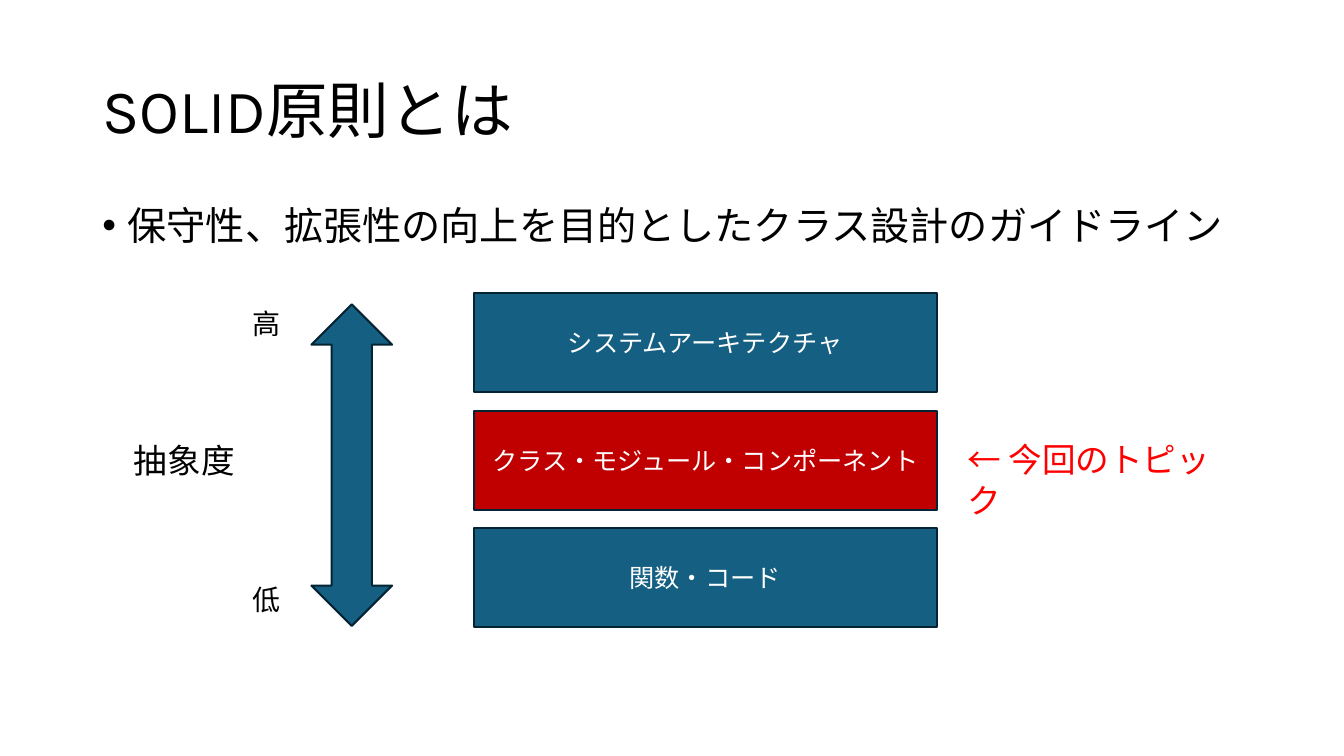
from dataclasses import dataclass

from lxml.etree import SubElement
from pptx import Presentation
from pptx.dml.color import RGBColor
from pptx.enum.shapes import MSO_SHAPE as Shape
from pptx.enum.text import MSO_ANCHOR as Anchor, MSO_AUTO_SIZE as AutoSize, PP_ALIGN as Align
from pptx.oxml.ns import qn
from pptx.util import Pt


@dataclass(frozen=True)
class Theme:
    font: str = "Karla"
    text: str = "000000"
    inverse: str = "FFFFFF"
    layer: str = "156082"
    topic_layer: str = "C00000"
    outline: str = "042433"
    note: str = "FF0000"
    title_size: int = 44
    body_size: int = 28
    label_size: int = 24
    end_size: int = 20
    layer_size: int = 18


THEME = Theme()
LAYERS = [
    ("システムアーキテクチャ", THEME.layer),
    ("クラス・モジュール・コンポーネント", THEME.topic_layer),
    ("関数・コード", THEME.layer),
]
LAYER_LEFT, LAYER_TOP, LAYER_WIDTH, LAYER_HEIGHT = 338.4, 209.3, 330.6, 70.8
LAYER_PITCH = 84
LABELS = [
    ("抽象度", (88.6, 311, 92.9, 36), THEME.label_size, THEME.text),
    ("高", (173.5, 215.3, 33.5, 31.7), THEME.end_size, THEME.text),
    ("低", (173.5, 412.6, 33.5, 31.7), THEME.end_size, THEME.text),
    ("← 今回のトピック", (684, 310.3, 191.5, 64.8), THEME.label_size, THEME.note),
]


def set_text(shape, text, size, color, align=Align.LEFT, anchor=Anchor.TOP):
    frame = shape.text_frame
    frame.text = text
    frame.word_wrap = True
    frame.auto_size = AutoSize.NONE
    frame.vertical_anchor = anchor
    paragraph = frame.paragraphs[0]
    paragraph.alignment = align
    font = paragraph.runs[0].font
    font.name = THEME.font
    font.size = Pt(size)
    font.color.rgb = RGBColor.from_string(color)
    return paragraph


def fill_placeholder(shape, box, text, size, anchor):
    shape.left, shape.top, shape.width, shape.height = map(Pt, box)
    paragraph = set_text(shape, text, size, THEME.text, anchor=anchor)
    paragraph.line_spacing = 0.9
    paragraph.space_before = Pt(0)
    return paragraph


def add_bullet(paragraph, indent):
    properties = paragraph._p.get_or_add_pPr()
    properties.set("marL", str(Pt(indent)))
    properties.set("indent", str(-Pt(indent)))
    SubElement(properties, qn("a:buFont"), typeface="Arial")
    SubElement(properties, qn("a:buChar"), char="•")


def add_block(slide, kind, box, color):
    shape = slide.shapes.add_shape(kind, *map(Pt, box))
    shape.shadow.inherit = False
    shape.fill.solid()
    shape.fill.fore_color.rgb = RGBColor.from_string(color)
    shape.line.color.rgb = RGBColor.from_string(THEME.outline)
    shape.line.width = Pt(1.5)
    return shape


def add_layers(slide):
    for index, (text, color) in enumerate(LAYERS):
        top = LAYER_TOP + index * LAYER_PITCH
        box = (LAYER_LEFT, top, LAYER_WIDTH, LAYER_HEIGHT)
        shape = add_block(slide, Shape.RECTANGLE, box, color)
        set_text(shape, text, THEME.layer_size, THEME.inverse, Align.CENTER, Anchor.MIDDLE)


def add_label(slide, text, box, size, color):
    set_text(slide.shapes.add_textbox(*map(Pt, box)), text, size, color)


def main():
    presentation = Presentation()
    presentation.slide_width = Pt(960)
    presentation.slide_height = Pt(540)
    slide = presentation.slides.add_slide(presentation.slide_layouts[1])

    fill_placeholder(slide.shapes.title, (66, 28.8, 828, 104.4),
                     "SOLID原則とは", THEME.title_size, Anchor.MIDDLE)
    guideline = fill_placeholder(slide.placeholders[1], (66, 144, 861, 342.7),
                                 "保守性、拡張性の向上を目的としたクラス設計のガイドライン",
                                 THEME.body_size, Anchor.TOP)
    add_bullet(guideline, 18)

    add_layers(slide)
    add_block(slide, Shape.UP_DOWN_ARROW, (222.5, 217.4, 57.6, 229.7), THEME.layer)
    for label in LABELS:
        add_label(slide, *label)

    presentation.save("out.pptx")


if __name__ == "__main__":
    main()
